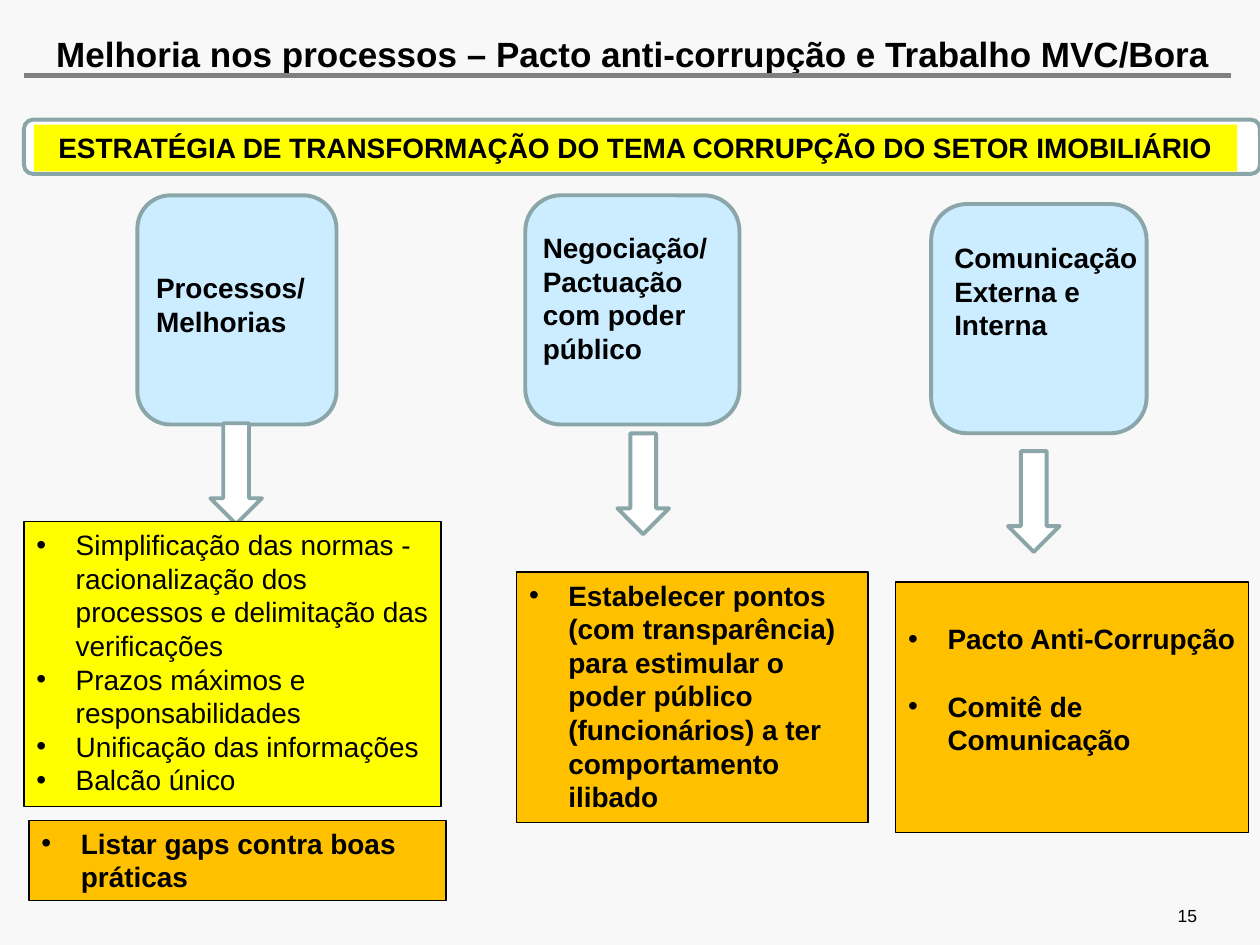
import dataclasses

import pptx
import pptx.dml.color
import pptx.enum.shapes
import pptx.enum.text
import pptx.util
from lxml import etree

Pt = pptx.util.Pt
SHAPE = pptx.enum.shapes.MSO_SHAPE
ALIGN = pptx.enum.text.PP_ALIGN
ANCHOR = pptx.enum.text.MSO_ANCHOR


@dataclasses.dataclass(frozen=True)
class Theme:
    """Colours, font and type sizes of the slide."""
    background: str = "F8F8F8"
    text: str = "000000"
    white: str = "FFFFFF"
    rule: str = "808080"
    outline: str = "8AA6A8"
    card: str = "CCECFF"
    yellow: str = "FFFF00"
    orange: str = "FFC000"
    font: str = "Arial"
    title_size: float = 20
    body_size: float = 16
    number_size: float = 10
    blank_line: float = 19.2


THEME = Theme()


def rgb(value):
    """Turn a hex string into a colour."""
    return pptx.dml.color.RGBColor.from_string(value)


def add_block(slide, kind, box, fill, outline=None, weight=2.25):
    """Add a flat filled shape, with or without an outline."""
    block = slide.shapes.add_shape(kind, *map(Pt, box))
    block.shadow.inherit = False
    block.fill.solid()
    block.fill.fore_color.rgb = rgb(fill)
    if outline:
        block.line.color.rgb = rgb(outline)
        block.line.width = Pt(weight)
    else:
        block.line.fill.background()
    return block


def add_bullet(paragraph):
    """Give a paragraph a hanging round bullet."""
    properties = paragraph._p.get_or_add_pPr()
    properties.set("marL", str(Pt(22.5)))
    properties.set("indent", str(Pt(-22.5)))
    namespace = "{http://schemas.openxmlformats.org/drawingml/2006/main}"
    etree.SubElement(properties, namespace + "buFont", typeface=THEME.font)
    etree.SubElement(properties, namespace + "buChar", char="•")


def write(shape, lines, size=THEME.body_size, bold=True, align=ALIGN.LEFT,
          anchor=ANCHOR.TOP, bullets=False, gap=0, margins=None):
    """Fill a shape with paragraphs in one style."""
    frame = shape.text_frame
    frame.word_wrap = True
    frame.vertical_anchor = anchor
    if margins is not None:
        frame.margin_left = frame.margin_right = Pt(margins)
        frame.margin_top = frame.margin_bottom = Pt(margins)
    for index, line in enumerate(lines):
        paragraph = frame.add_paragraph() if index else frame.paragraphs[0]
        paragraph.text = line
        paragraph.alignment = align
        if index and gap:
            paragraph.space_before = Pt(gap)
        if bullets:
            add_bullet(paragraph)
        paragraph.font.name = THEME.font
        paragraph.font.size = Pt(size)
        paragraph.font.bold = bold
        paragraph.font.color.rgb = rgb(THEME.text)


def add_heading(slide, box, text):
    """Place the title and the grey rule at its foot."""
    left, top, width, height = box
    title = slide.shapes.title
    title.left, title.top, title.width, title.height = map(Pt, box)
    write(title, [text], THEME.title_size, align=ALIGN.CENTER,
          anchor=ANCHOR.MIDDLE, margins=0)
    foot = Pt(top + height)
    rule = slide.shapes.add_connector(
        pptx.enum.shapes.MSO_CONNECTOR.STRAIGHT,
        Pt(left - 5.7), foot, Pt(left + width - 0.5), foot)
    rule.line.color.rgb = rgb(THEME.rule)
    rule.line.width = Pt(3.2)
    etree.SubElement(
        rule._element.spPr,
        "{http://schemas.openxmlformats.org/drawingml/2006/main}effectLst")


def add_banner(slide, box, text):
    """Place the framed strategy statement."""
    left, top, width, height = box
    add_block(slide, SHAPE.ROUNDED_RECTANGLE, box, THEME.white, THEME.outline)
    strip = (left + 5.7, top + 2.9, width - 18.7, height - 4.3)
    statement = add_block(slide, SHAPE.RECTANGLE, strip, THEME.yellow)
    write(statement, [text], align=ALIGN.CENTER)


def add_front(slide, card, label, text, arrow):
    """Place one work front: its card, its label and the arrow below."""
    add_block(slide, SHAPE.ROUNDED_RECTANGLE, card, THEME.card, THEME.outline)
    write(slide.shapes.add_textbox(*map(Pt, label)), [text])
    add_block(slide, SHAPE.DOWN_ARROW, (*arrow, 29.5, 57.6),
              THEME.white, THEME.outline)


def add_actions(slide, box, lines, fill=THEME.orange, bold=True, gap=0):
    """Place a bulleted action box; a gap also lowers its first line."""
    actions = add_block(slide, SHAPE.RECTANGLE, box, fill, THEME.text, 0.75)
    write(actions, lines, bold=bold, bullets=True, gap=gap)
    actions.text_frame.margin_top = Pt(3.6 + gap)


def add_page_number(slide, box, number):
    """Place the page number."""
    write(slide.shapes.add_textbox(*map(Pt, box)), [number],
          THEME.number_size, bold=False, align=ALIGN.RIGHT,
          anchor=ANCHOR.BOTTOM, margins=0)


def main():
    """Build and save the slide."""
    deck = pptx.Presentation()
    deck.slide_width, deck.slide_height = Pt(720), Pt(540)
    slide = deck.slides.add_slide(deck.slide_layouts[5])
    slide.background.fill.solid()
    slide.background.fill.fore_color.rgb = rgb(THEME.background)

    add_heading(slide, (19.4, 18, 684.7, 25.2),
                "Melhoria nos processos – Pacto anti-corrupção e Trabalho MVC/Bora")
    add_banner(slide, (13.7, 68.4, 706.3, 31),
               "ESTRATÉGIA DE TRANSFORMAÇÃO DO TEMA CORRUPÇÃO DO SETOR IMOBILIÁRIO")

    fronts = [
        ((78.5, 111.6, 113.8, 131), (82.1, 151.2, 116.6, 46.1),
         "Processos/ Melhorias", (120.2, 241.9)),
        ((300.2, 111.6, 122.4, 131), (303.1, 128.2, 113, 85),
         "Negociação/ Pactuação com poder público", (352.8, 247.7)),
        ((532.1, 116.6, 123.1, 131), (538.2, 133.9, 120.5, 65.5),
         "Comunicação Externa e Interna", (576, 257.8)),
    ]
    for front in fronts:
        add_front(slide, *front)

    add_actions(slide, (13.7, 298.1, 238.3, 162.7), [
        "Simplificação das normas - racionalização dos processos e "
        "delimitação das verificações",
        "Prazos máximos e responsabilidades",
        "Unificação das informações",
        "Balcão único",
    ], THEME.yellow, bold=False)
    add_actions(slide, (295.2, 326.9, 200.9, 143.3), [
        "Estabelecer pontos (com transparência) para estimular o poder "
        "público (funcionários) a ter comportamento ilibado"])
    add_actions(slide, (511.9, 332.6, 201.5, 143.3),
                ["Pacto Anti-Corrupção", "Comitê de Comunicação"],
                gap=THEME.blank_line)
    add_actions(slide, (16.6, 468.7, 238.3, 46.1),
                ["Listar gaps contra boas práticas"])
    add_page_number(slide, (515.5, 517, 168.5, 12.2), "15")
    deck.save("out.pptx")


if __name__ == "__main__":
    main()
